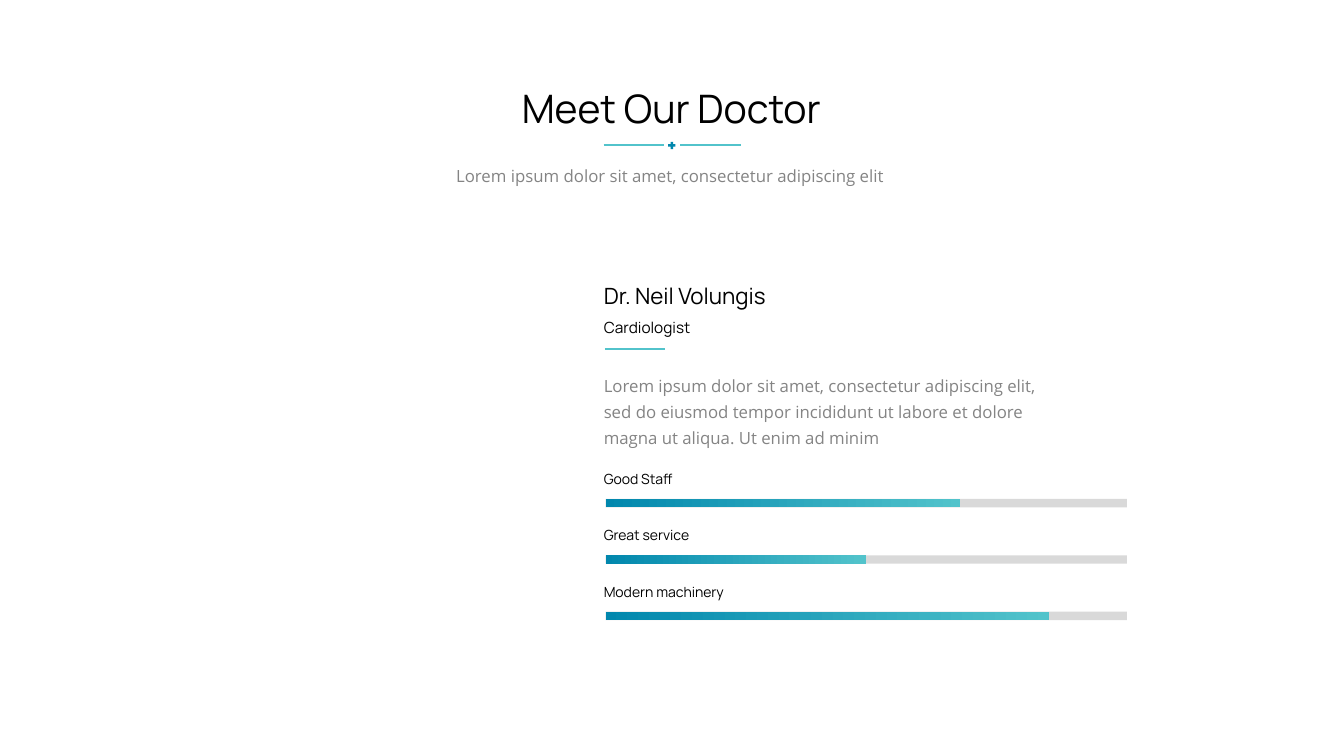
"""Builds the doctor profile slide with its skill bars."""
import pptx
import pptx.dml.color
import pptx.enum.shapes
import pptx.enum.text
import pptx.oxml
import pptx.oxml.ns
import pptx.util

Pt = pptx.util.Pt
ALIGN = pptx.enum.text.PP_ALIGN


class ProfileSlide:
    """Holds the style and the slide, and draws each kind of element."""

    colors = {
        "ink": "000000",
        "muted": "848484",
        "aqua": "52C3CB",
        "blue": "0187AD",
        "track": "D9D9D9",
    }
    heading_font = "Manrope"
    body_font = "Open Sans"

    def __init__(self, slide):
        self.shapes = slide.shapes

    def color(self, name):
        return pptx.dml.color.RGBColor.from_string(self.colors[name])

    def text(self, words, left, top, width, height, size, body=False,
             align=ALIGN.LEFT, wrap=True):
        frame = self.shapes.add_textbox(
            Pt(left), Pt(top), Pt(width), Pt(height)).text_frame
        frame.word_wrap = wrap
        frame.auto_size = pptx.enum.text.MSO_AUTO_SIZE.SHAPE_TO_FIT_TEXT
        paragraph = frame.paragraphs[0]
        paragraph.text = words
        paragraph.alignment = align
        if body:
            paragraph.line_spacing = 1.3
        paragraph.font.size = Pt(size)
        paragraph.font.name = self.body_font if body else self.heading_font
        paragraph.font.color.rgb = self.color("muted" if body else "ink")

    def rule(self, left, y, length):
        line = self.shapes.add_connector(
            pptx.enum.shapes.MSO_CONNECTOR.STRAIGHT,
            Pt(left), Pt(y), Pt(left + length), Pt(y))
        line.line.color.rgb = self.color("aqua")
        line.line.width = Pt(1.5)
        properties = line._element.spPr
        properties.append(pptx.oxml.parse_xml(
            "<a:effectLst %s/>" % pptx.oxml.ns.nsdecls("a")))

    def plus(self, x, y, reach, arm):
        corners = [(-arm, -reach), (arm, -reach), (arm, -arm), (reach, -arm),
                   (reach, arm), (arm, arm), (arm, reach), (-arm, reach),
                   (-arm, arm), (-reach, arm), (-reach, -arm), (-arm, -arm)]
        points = [(Pt(x + dx), Pt(y + dy)) for dx, dy in corners]
        outline = self.shapes.build_freeform(*points[0])
        outline.add_line_segments(points[1:], close=True)
        mark = outline.convert_to_shape()
        mark.shadow.inherit = False
        mark.fill.solid()
        mark.fill.fore_color.rgb = self.color("blue")
        mark.line.fill.background()

    def bar(self, left, top, width, height, *names):
        bar = self.shapes.add_shape(
            pptx.enum.shapes.MSO_SHAPE.RECTANGLE,
            Pt(left), Pt(top), Pt(width), Pt(height))
        bar.shadow.inherit = False
        bar.line.fill.background()
        if len(names) == 1:
            bar.fill.solid()
            bar.fill.fore_color.rgb = self.color(names[0])
            return
        bar.fill.gradient()
        bar.fill.gradient_angle = 0
        for stop, name in zip(bar.fill.gradient_stops, names):
            stop.color.rgb = self.color(name)

    def skill(self, label, share, top):
        left, width, height = 432.6, 372.4, 6
        self.bar(left, top, width, height, "track")
        self.bar(left, top, width * share, height, "blue", "aqua")
        self.text(label, 424.2, top - 23.8, 124.6, 19.4, 10)


def main():
    deck = pptx.Presentation()
    deck.slide_width, deck.slide_height = Pt(960), Pt(540)
    profile = ProfileSlide(deck.slides.add_slide(deck.slide_layouts[6]))

    for left in (431.2, 486):
        profile.rule(left, 103.9, 43.4)
    profile.plus(479.9, 103.9, 2.6, 0.9)
    profile.text("Meet Our Doctor", 307.4, 56.9, 344.2, 41, 28,
                 align=ALIGN.CENTER)
    profile.text("Lorem ipsum dolor sit amet, consectetur adipiscing elit ",
                 232.6, 110.2, 495.4, 24.5, 12, body=True, align=ALIGN.CENTER)

    profile.text("Dr. Neil Volungis", 424.2, 198, 141.8, 26.6, 16, wrap=False)
    profile.text("Cardiologist", 424.2, 223.9, 98.6, 20.9, 11)
    profile.rule(432, 249.6, 43.2)
    profile.text("Lorem ipsum dolor sit amet, consectetur adipiscing elit, "
                 "sed do eiusmod tempor incididunt ut labore et dolore "
                 "magna ut aliqua. Ut enim ad minim",
                 424.2, 260.6, 343.4, 62.6, 12, body=True)

    skills = [("Good Staff", 0.68), ("Great service", 0.5),
              ("Modern machinery", 0.85)]
    for row, (label, share) in enumerate(skills):
        profile.skill(label, share, 356.4 + 40.3 * row)

    deck.save("out.pptx")


if __name__ == "__main__":
    main()
